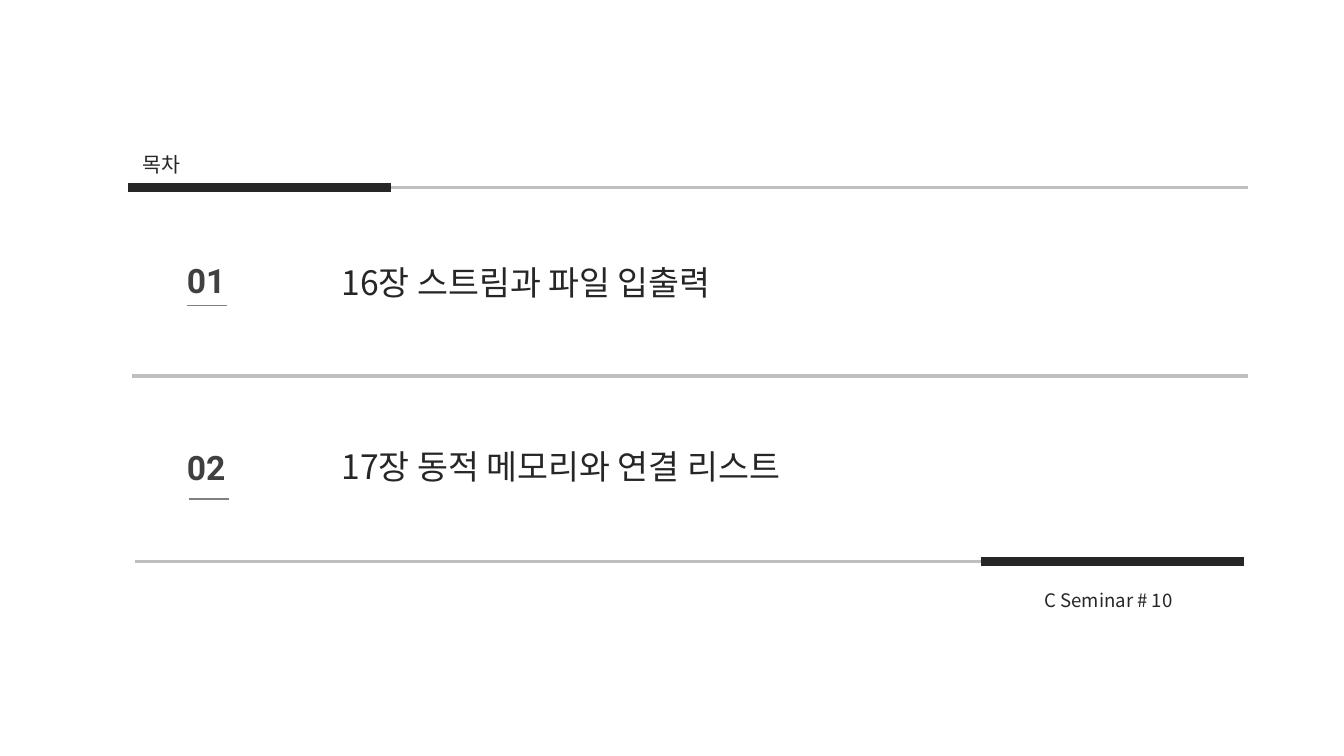
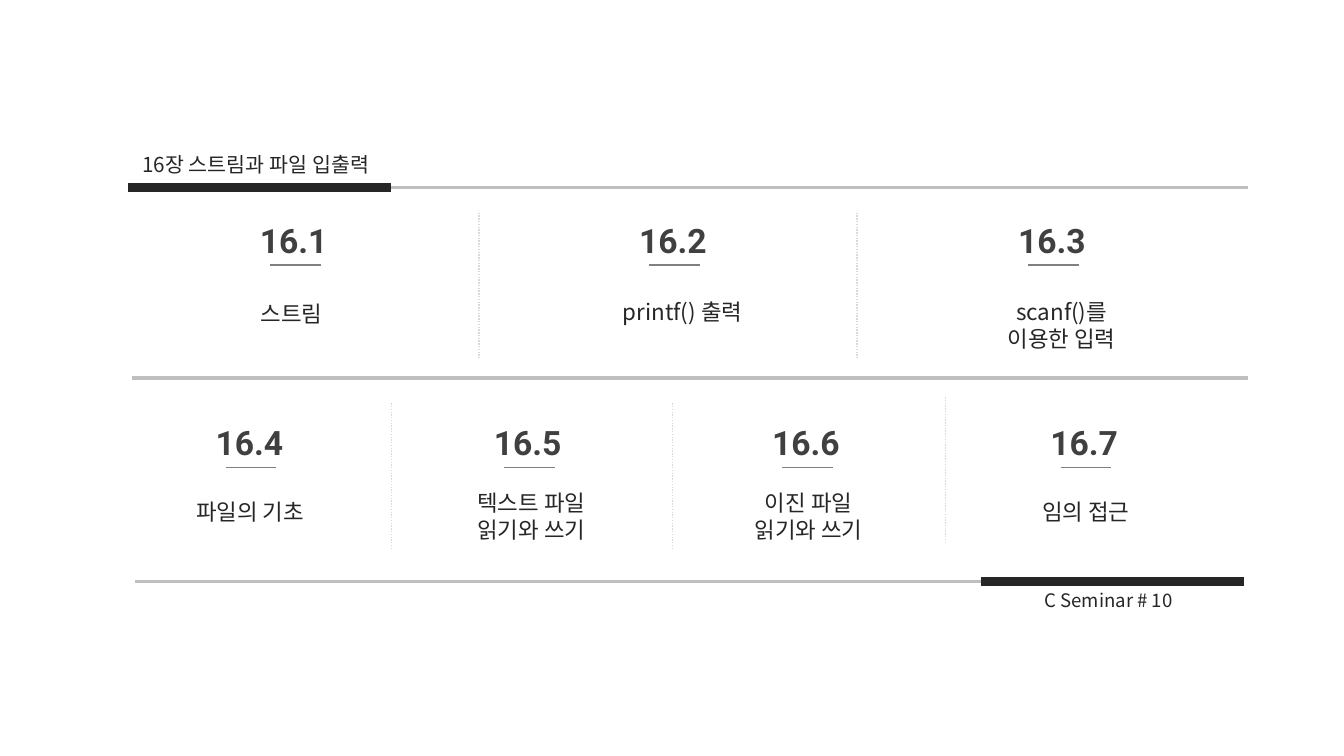
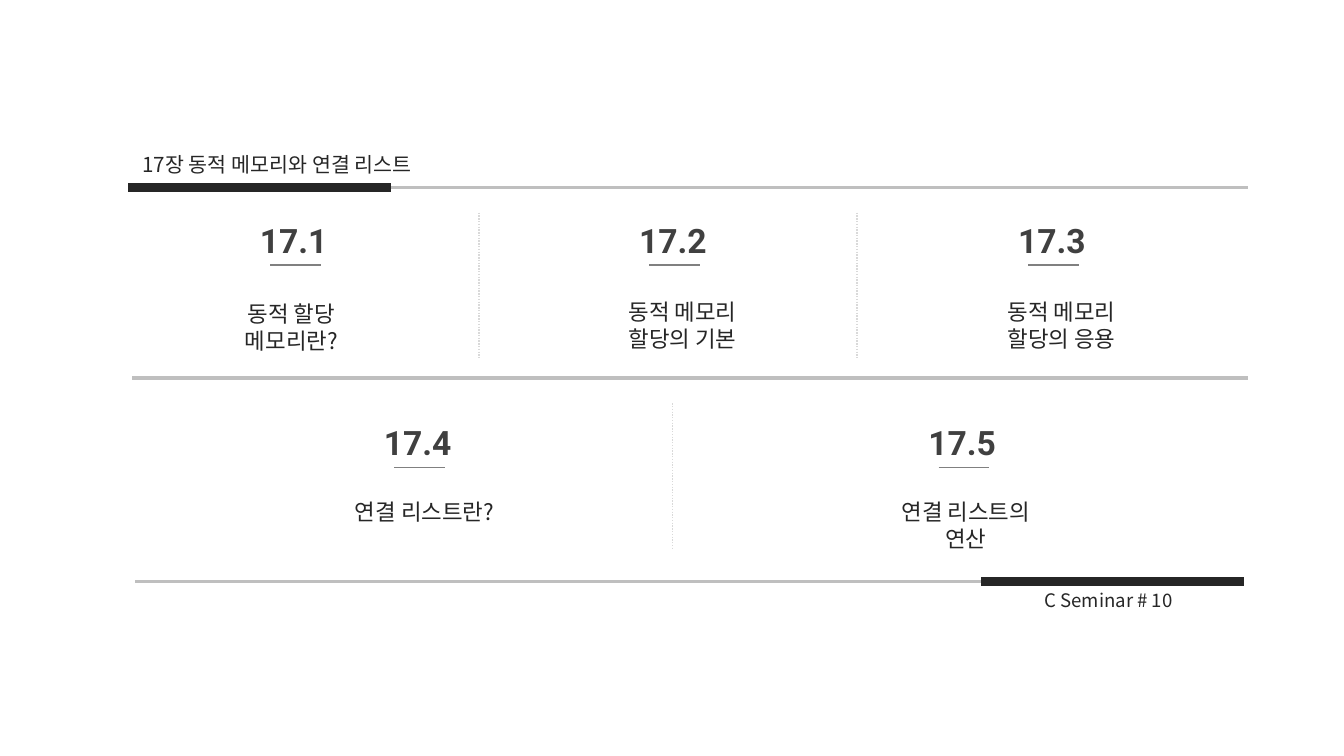
"""Build the contents slides of a C seminar: an agenda and two chapter overviews."""
import pptx
import pptx.dml.color
import pptx.enum.dml
import pptx.enum.shapes
import pptx.enum.text
import pptx.oxml
import pptx.oxml.ns
import pptx.util
from pptx.util import Inches

INK = pptx.dml.color.RGBColor(0x26, 0x26, 0x26)
NUMBER_GRAY = pptx.dml.color.RGBColor(0x40, 0x40, 0x40)
UNDERLINE_GRAY = pptx.dml.color.RGBColor(0x80, 0x80, 0x80)
RULE_GRAY = pptx.dml.color.RGBColor(0xBF, 0xBF, 0xBF)
DIVIDER_GRAY = pptx.dml.color.RGBColor(0xD9, 0xD9, 0xD9)
TEXT_FONT = "Noto Sans CJK KR"
NUMBER_FONT = "Roboto"
LEFT = pptx.enum.text.PP_ALIGN.LEFT
CENTER = pptx.enum.text.PP_ALIGN.CENTER

FOOTER = "C Seminar # 10"
AGENDA_TITLE = "목차"
AGENDA = [
    {"number": "01", "chapter": "16장 스트림과 파일 입출력",
     "number_top": 2.53, "chapter_top": 2.55, "underline": (1.85, 3.03)},
    {"number": "02", "chapter": "17장 동적 메모리와 연결 리스트",
     "number_top": 4.38, "chapter_top": 4.37, "underline": (1.87, 4.95)},
]

UPPER_TOP, LOWER_TOP = 2.13, 4.14
UPPER_DIVIDERS = [(4.75, 2.11), (8.5, 2.11)]
CHAPTERS = [
    {
        "title": "16장 스트림과 파일 입출력",
        "dividers": UPPER_DIVIDERS + [(3.88, 4), (6.67, 4), (9.38, 3.94)],
        "rows": [
            (UPPER_TOP, 2.93, 3.76, [
                ("16.1", "스트림", 2.89, 2.93),
                ("16.2", "printf() 출력", 6.77, 2.91),
                ("16.3", "scanf()를 이용한 입력", 10.53, 2.91),
            ]),
            (LOWER_TOP, 2.49, 2.76, [
                ("16.4", "파일의 기초", 2.48, 4.89),
                ("16.5", "텍스트 파일 읽기와 쓰기", 5.27, 4.8),
                ("16.6", "이진 파일 읽기와 쓰기", 8.02, 4.8),
                ("16.7", "임의 접근", 10.77, 4.89),
            ]),
        ],
    },
    {
        "title": "17장 동적 메모리와 연결 리스트",
        "dividers": UPPER_DIVIDERS + [(6.67, 4)],
        "rows": [
            (UPPER_TOP, 2.93, 3.76, [
                ("17.1", "동적 할당 메모리란?", 2.89, 2.93),
                ("17.2", "동적 메모리 할당의 기본", 6.77, 2.91),
                ("17.3", "동적 메모리 할당의 응용", 10.53, 2.91),
            ]),
            (LOWER_TOP, 4.16, 5.4, [
                ("17.4", "연결 리스트란?", 4.21, 4.89),
                ("17.5", "연결 리스트의 연산", 9.58, 4.89),
            ]),
        ],
    },
]
NUMBER_WIDTH, CAPTION_WIDTH, UNDERLINE_WIDTH = 0.9, 1.7, 0.5
DIVIDER_HEIGHT = 1.44


def write(box, text, size, align=LEFT, font=TEXT_FONT, color=INK, bold=False):
    """Fill a text box or placeholder with one styled paragraph."""
    frame = box.text_frame
    frame.text = text
    frame.word_wrap = True
    frame.auto_size = pptx.enum.text.MSO_AUTO_SIZE.SHAPE_TO_FIT_TEXT
    frame.vertical_anchor = pptx.enum.text.MSO_ANCHOR.TOP
    para = frame.paragraphs[0]
    para.alignment = align
    para.font.size = pptx.util.Pt(size)
    para.font.name = font
    para.font.bold = bold
    para.font.color.rgb = color
    defaults = para._p.pPr.find(pptx.oxml.ns.qn("a:defRPr"))
    east_asian = pptx.oxml.parse_xml(
        f'<a:ea {pptx.oxml.ns.nsdecls("a")} typeface="{font}"/>')
    defaults.append(east_asian)


def add_text(page, left, top, width, height, text, size, **style):
    """Add a text box placed in inches."""
    box = page.shapes.add_textbox(
        Inches(left), Inches(top), Inches(width), Inches(height))
    write(box, text, size, **style)


def add_number(page, left, top, width, text, align=LEFT):
    """Add a bold section number."""
    add_text(page, left, top, width, 0.5, text, 24, align=align,
             font=NUMBER_FONT, color=NUMBER_GRAY, bold=True)


def add_line(page, start, end, color, weight, dash=None):
    """Add a straight line without a shadow."""
    line = page.shapes.add_connector(
        pptx.enum.shapes.MSO_CONNECTOR.STRAIGHT,
        *(Inches(value) for value in (*start, *end)))
    line.line.color.rgb = color
    line.line.width = pptx.util.Pt(weight)
    if dash:
        line.line.dash_style = dash
    line._element.spPr.append(
        pptx.oxml.parse_xml(f'<a:effectLst {pptx.oxml.ns.nsdecls("a")}/>'))


def add_page(deck, title, middle, bottom):
    """Add a slide with the shared title, rules, bands and footer."""
    page = deck.slides.add_slide(deck.slide_layouts[5])
    heading = page.shapes.title
    heading.left, heading.top = Inches(1.31), Inches(1.46)
    heading.width, heading.height = Inches(3.25), Inches(0.35)
    write(heading, title, 14.7)
    for left, right, y, color, weight in [
        (2.66, 12.38, 1.86, RULE_GRAY, 2.5),
        (1.27, 3.88, 1.86, INK, 6.5),
        (1.31, 12.38, middle, RULE_GRAY, 2.5),
        (1.34, 12.3, bottom, RULE_GRAY, 2.5),
        (9.73, 12.34, bottom, INK, 6.5),
    ]:
        add_line(page, (left, y), (right, y), color, weight)
    add_text(page, 10.26, 5.79, 2.2, 0.33, FOOTER, 13.3)
    return page


def build_agenda(deck):
    """Build the list of chapters."""
    page = add_page(deck, AGENDA_TITLE, 3.73, 5.57)
    for entry in AGENDA:
        add_number(page, 1.62, entry["number_top"], 0.85, entry["number"], CENTER)
        add_text(page, 3.29, entry["chapter_top"], 5.07, 0.5, entry["chapter"], 24)
        left, y = entry["underline"]
        add_line(page, (left, y), (left + 0.4, y), UNDERLINE_GRAY, 1)


def build_chapter(deck, chapter):
    """Build the two rows of sections of one chapter."""
    page = add_page(deck, chapter["title"], 3.75, 5.77)
    for x, top in chapter["dividers"]:
        add_line(page, (x, top), (x, top + DIVIDER_HEIGHT), DIVIDER_GRAY, 1,
                 pptx.enum.dml.MSO_LINE.ROUND_DOT)
    for top, first, step, sections in chapter["rows"]:
        for column, (number, caption, caption_center, caption_top) in enumerate(sections):
            center = first + column * step
            add_number(page, center - NUMBER_WIDTH / 2, top, NUMBER_WIDTH, number)
            underline_left, underline_y = center - UNDERLINE_WIDTH / 2, top + 0.5
            add_line(page, (underline_left, underline_y),
                     (underline_left + UNDERLINE_WIDTH, underline_y), UNDERLINE_GRAY, 1)
            add_text(page, caption_center - CAPTION_WIDTH / 2, caption_top,
                     CAPTION_WIDTH, 0.37, caption, 16, align=CENTER)


def main():
    """Build and save the deck."""
    deck = pptx.Presentation()
    deck.slide_width, deck.slide_height = Inches(13.33), Inches(7.5)
    build_agenda(deck)
    for chapter in CHAPTERS:
        build_chapter(deck, chapter)
    deck.save("out.pptx")


if __name__ == "__main__":
    main()
